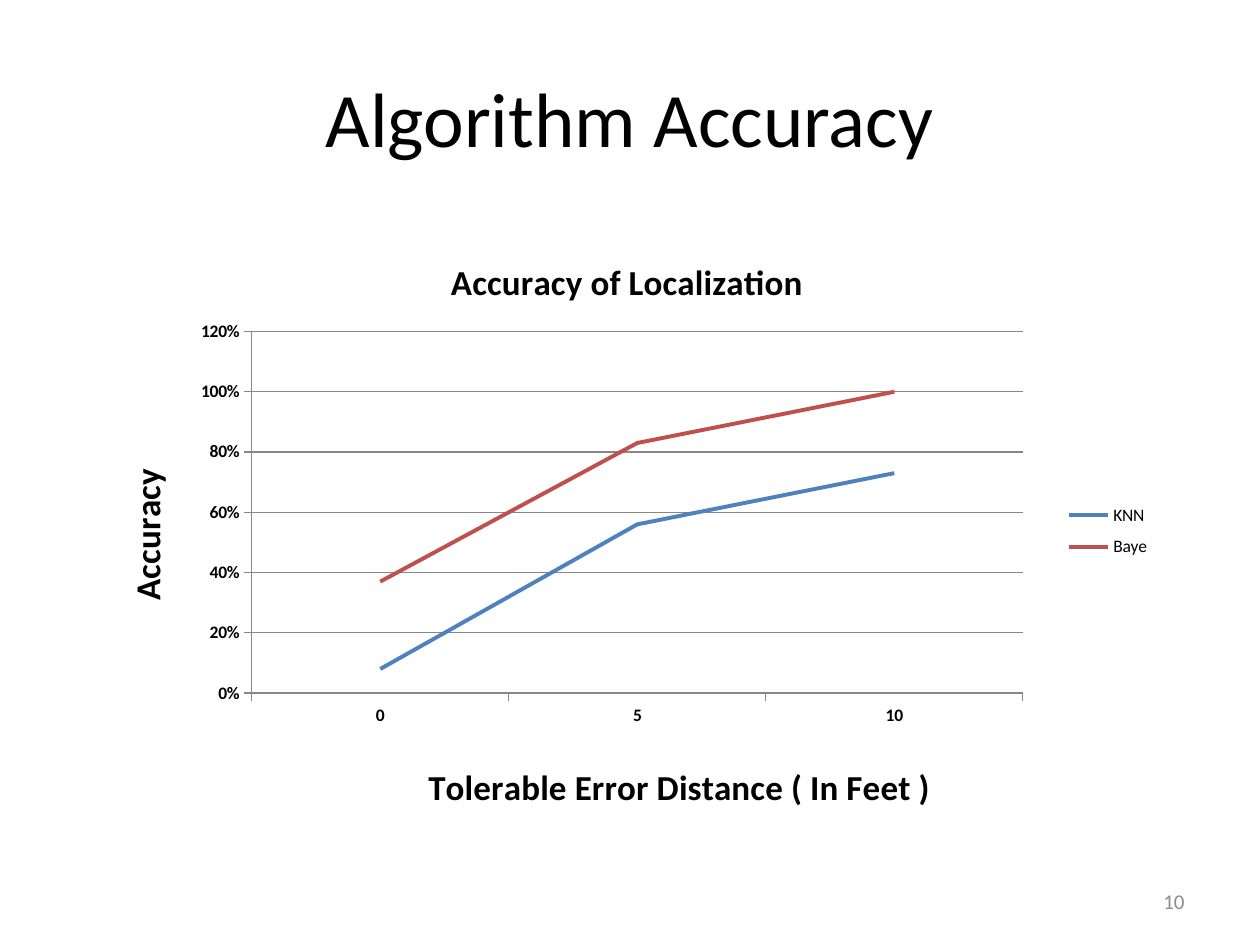
import pptx
import pptx.chart.data
import pptx.dml.color
import pptx.enum.chart
import pptx.enum.text
import pptx.oxml
import pptx.oxml.ns
import pptx.util

Cm = pptx.util.Cm
Pt = pptx.util.Pt
FONT = "Calibri"
COLOURS = {
    "text": "000000",
    "number": "8C8C8C",
    "grid": "878787",
    "KNN": "4F81BD",
    "Baye": "C0504D",
}
ACCURACY = {"KNN": (0.08, 0.56, 0.73), "Baye": (0.37, 0.83, 1)}
DISTANCES = ("0", "5", "10")


def colour(name):
    return pptx.dml.color.RGBColor.from_string(COLOURS[name])


def style_font(font, size, name="text", bold=False):
    font.name = FONT
    font.size = Pt(size)
    font.bold = bold
    font.color.rgb = colour(name)


def style_line(line, name, width):
    line.color.rgb = colour(name)
    line.width = Pt(width)


def write_text(box, text, size, name, alignment):
    frame = box.text_frame
    frame.word_wrap = True
    frame.vertical_anchor = pptx.enum.text.MSO_ANCHOR.MIDDLE
    paragraph = frame.paragraphs[0]
    paragraph.text = text
    paragraph.alignment = alignment
    style_font(paragraph.font, size, name)


def set_layout(element, inner=False, **fractions):
    """Place a chart part by fractions (x, y, w, h) of the chart's size."""
    qn = pptx.oxml.ns.qn
    target = '<c:layoutTarget val="inner"/>' if inner else ""
    modes = "".join(f'<c:{key}Mode val="edge"/>' for key in "xy")
    sizes = "".join(f'<c:{key} val="{value}"/>' for key, value in fractions.items())
    layout = pptx.oxml.parse_xml(
        f'<c:layout {pptx.oxml.ns.nsdecls("c")}>'
        f"<c:manualLayout>{target}{modes}{sizes}</c:manualLayout></c:layout>"
    )
    for old in element.findall(qn("c:layout")):
        element.remove(old)
    overlay = element.find(qn("c:overlay"))
    if overlay is None:
        element.insert(0, layout)
    else:
        overlay.addprevious(layout)


def write_chart_title(title, text, x, y):
    paragraph = title.text_frame.paragraphs[0]
    paragraph.text = text
    style_font(paragraph.font, 20, bold=True)
    set_layout(title._element, x=x, y=y)


def style_axis(axis, title, x, y):
    axis.major_tick_mark = pptx.enum.chart.XL_TICK_MARK.OUTSIDE
    axis.minor_tick_mark = pptx.enum.chart.XL_TICK_MARK.NONE
    style_font(axis.tick_labels.font, 10, bold=True)
    style_line(axis.format.line, "grid", 0.75)
    write_chart_title(axis.axis_title, title, x, y)


def add_accuracy_chart(page):
    data = pptx.chart.data.CategoryChartData(number_format="0%")
    data.categories = DISTANCES
    for name, values in ACCURACY.items():
        data.add_series(name, values)
    chart = page.shapes.add_chart(
        pptx.enum.chart.XL_CHART_TYPE.LINE,
        Cm(1.19), Cm(4.17), Cm(22.86), Cm(12.57), data,
    ).chart
    style_font(chart.font, 10)
    write_chart_title(chart.chart_title, "Accuracy of Localization", 0.34, 0.07)
    chart.chart_title.include_in_layout = True

    style_axis(chart.category_axis, "Tolerable Error Distance ( In Feet )", 0.32, 0.88)
    value_axis = chart.value_axis
    style_axis(value_axis, "Accuracy", 0.05, 0.41)
    value_axis.minimum_scale = 0
    value_axis.maximum_scale = 1.2
    value_axis.major_unit = 0.2
    value_axis.tick_labels.number_format = "0%"
    value_axis.tick_labels.number_format_is_linked = False
    value_axis.has_major_gridlines = True
    style_line(value_axis.major_gridlines.format.line, "grid", 0.75)

    plot = chart.plots[0]
    plot.vary_by_categories = False
    for series in plot.series:
        series.smooth = False
        series.marker.style = pptx.enum.chart.XL_MARKER_STYLE.NONE
        style_line(series.format.line, series.name, 2.25)
    set_layout(chart._chartSpace.chart.plotArea, inner=True,
               x=0.17, y=0.2, w=0.68, h=0.58)

    chart.has_legend = True
    legend = chart.legend
    legend.position = pptx.enum.chart.XL_LEGEND_POSITION.RIGHT
    legend.include_in_layout = False
    style_font(legend.font, 10)
    set_layout(legend._element, x=0.88, y=0.46, w=0.09, h=0.12)


def main():
    deck = pptx.Presentation()
    deck.slide_width = Cm(25.4)
    deck.slide_height = Cm(19.05)
    page = deck.slides.add_slide(deck.slide_layouts.get_by_name("Title Only"))

    title = page.shapes.title
    title.left, title.top = Cm(1.27), Cm(0.76)
    title.width, title.height = Cm(22.86), Cm(3.18)
    align = pptx.enum.text.PP_ALIGN
    write_text(title, "Algorithm Accuracy", 44, "text", align.CENTER)
    add_accuracy_chart(page)
    number = page.shapes.add_textbox(Cm(18.21), Cm(17.65), Cm(5.92), Cm(1.02))
    write_text(number, "10", 12, "number", align.RIGHT)
    deck.save("out.pptx")


if __name__ == "__main__":
    main()
